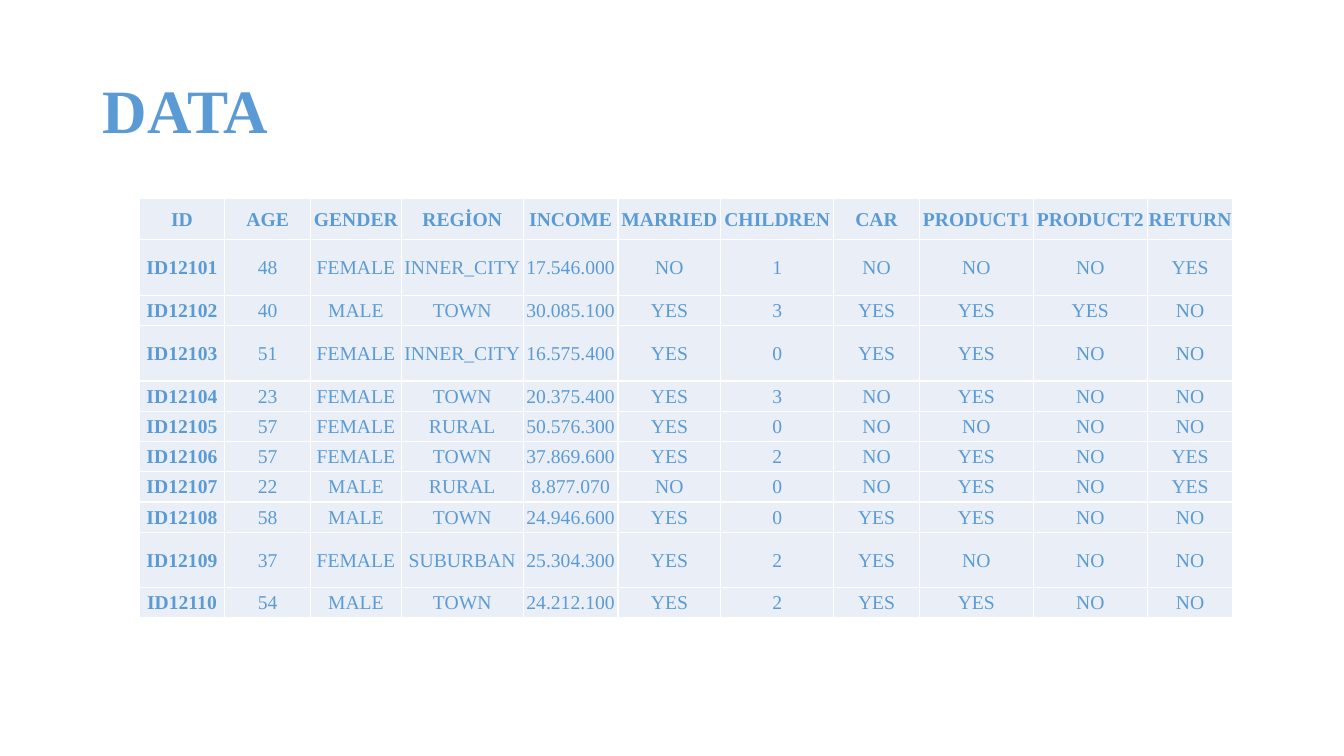
from lxml.etree import SubElement
from pptx import Presentation
from pptx.dml.color import RGBColor
from pptx.enum.text import MSO_ANCHOR, PP_ALIGN
from pptx.oxml.ns import qn
from pptx.util import Inches, Pt

COLORS = {"text": "5B9BD5", "cell": "EAEFF7", "border": "FFFFFF"}
FONT = "Times New Roman"

HEADINGS = ["ID", "AGE", "GENDER", "REGİON", "INCOME", "MARRIED",
            "CHILDREN", "CAR", "PRODUCT1", "PRODUCT2", "RETURN"]
CUSTOMERS = [
    ["ID12101", "48", "FEMALE", "INNER_CITY", "17.546.000", "NO", "1", "NO", "NO", "NO", "YES"],
    ["ID12102", "40", "MALE", "TOWN", "30.085.100", "YES", "3", "YES", "YES", "YES", "NO"],
    ["ID12103", "51", "FEMALE", "INNER_CITY", "16.575.400", "YES", "0", "YES", "YES", "NO", "NO"],
    ["ID12104", "23", "FEMALE", "TOWN", "20.375.400", "YES", "3", "NO", "YES", "NO", "NO"],
    ["ID12105", "57", "FEMALE", "RURAL", "50.576.300", "YES", "0", "NO", "NO", "NO", "NO"],
    ["ID12106", "57", "FEMALE", "TOWN", "37.869.600", "YES", "2", "NO", "YES", "NO", "YES"],
    ["ID12107", "22", "MALE", "RURAL", "8.877.070", "NO", "0", "NO", "YES", "NO", "YES"],
    ["ID12108", "58", "MALE", "TOWN", "24.946.600", "YES", "0", "YES", "YES", "NO", "NO"],
    ["ID12109", "37", "FEMALE", "SUBURBAN", "25.304.300", "YES", "2", "YES", "NO", "NO", "NO"],
    ["ID12110", "54", "MALE", "TOWN", "24.212.100", "YES", "2", "YES", "YES", "NO", "NO"],
]
COLUMN_WIDTHS = [0.85, 0.85, 0.9, 1.21, 0.94, 1.02, 1.12, 0.85, 1.13, 1.13, 0.85]
# Rows with a long region name are taller
LONG_REGIONS = {"INNER_CITY", "SUBURBAN"}
ROW_HEIGHTS = [0.41] + [0.55 if customer[3] in LONG_REGIONS else 0.3
                        for customer in CUSTOMERS]


class SlideBuilder:
    def __init__(self, slide, font, colors):
        self.slide = slide
        self.font = font
        self.colors = colors

    def format_text(self, paragraph, size, bold):
        for run in paragraph.runs:
            run.font.name = self.font
            run.font.size = Pt(size)
            run.font.bold = bold
            run.font.color.rgb = RGBColor.from_string(self.colors["text"])

    def title(self, text, left, top, width, height):
        heading = self.slide.shapes.title
        heading.left, heading.top = Inches(left), Inches(top)
        heading.width, heading.height = Inches(width), Inches(height)
        frame = heading.text_frame
        frame.text = text
        frame.word_wrap = True
        frame.vertical_anchor = MSO_ANCHOR.MIDDLE
        paragraph = frame.paragraphs[0]
        paragraph.alignment = PP_ALIGN.LEFT
        paragraph.line_spacing = 0.9
        self.format_text(paragraph, 44, True)

    def borders(self, cell):
        properties = cell._tc.get_or_add_tcPr()
        for side in ("a:lnL", "a:lnR", "a:lnT", "a:lnB"):
            line = SubElement(properties, qn(side), w=str(Pt(1)))
            fill = SubElement(line, qn("a:solidFill"))
            SubElement(fill, qn("a:srgbClr"), val=self.colors["border"])

    def cell(self, cell, text, bold):
        self.borders(cell)
        cell.fill.solid()
        cell.fill.fore_color.rgb = RGBColor.from_string(self.colors["cell"])
        cell.margin_left = cell.margin_top = cell.margin_right = Inches(0.01)
        cell.margin_bottom = 0
        cell.vertical_anchor = MSO_ANCHOR.MIDDLE
        cell.text_frame.text = text
        paragraph = cell.text_frame.paragraphs[0]
        paragraph.alignment = PP_ALIGN.CENTER
        self.format_text(paragraph, 14, bold)

    def table(self, rows, left, top, widths, heights):
        table = self.slide.shapes.add_table(
            len(rows), len(widths), Inches(left), Inches(top),
            Inches(sum(widths)), Inches(sum(heights))).table
        table.horz_banding = False
        for column, width in zip(table.columns, widths):
            column.width = Inches(width)
        for row, height in zip(table.rows, heights):
            row.height = Inches(height)
        # Headings and IDs are bold
        for r, values in enumerate(rows):
            for c, value in enumerate(values):
                self.cell(table.cell(r, c), value, r == 0 or c == 0)


def main():
    deck = Presentation()
    deck.slide_width, deck.slide_height = Inches(13.33), Inches(7.5)
    title_only = deck.slide_layouts[5]
    builder = SlideBuilder(deck.slides.add_slide(title_only), FONT, COLORS)

    # Title
    builder.title("DATA", 0.92, 0.4, 11.5, 1.45)

    # Customer table
    builder.table([HEADINGS] + CUSTOMERS, 1.38, 1.97, COLUMN_WIDTHS, ROW_HEIGHTS)

    deck.save("out.pptx")


if __name__ == "__main__":
    main()
